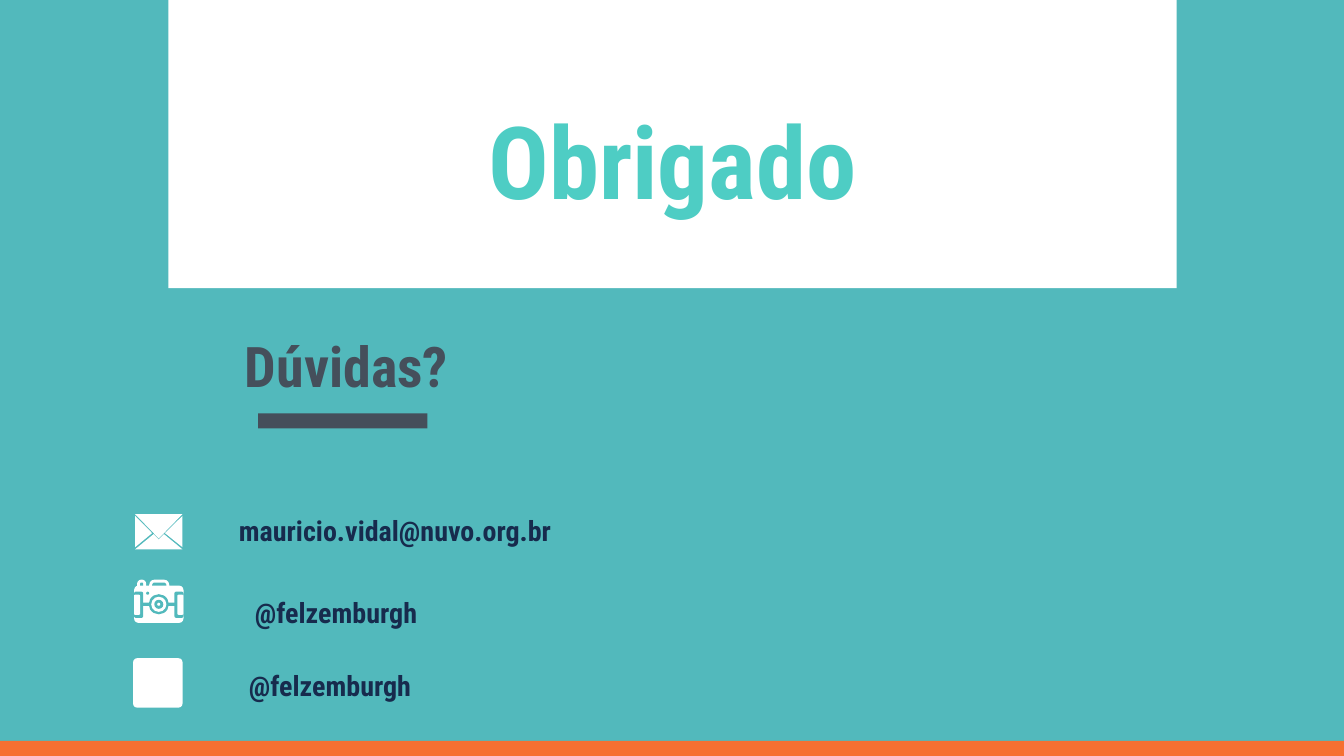
import dataclasses

import pptx
import pptx.dml.color
import pptx.enum.shapes
import pptx.enum.text
import pptx.util

Inches = pptx.util.Inches
MSO = pptx.enum.shapes.MSO_SHAPE
ANCHOR = pptx.enum.text.MSO_ANCHOR
ALIGN = pptx.enum.text.PP_ALIGN


@dataclasses.dataclass(frozen=True)
class Theme:
    """Colours, font and type sizes of the slide."""
    teal: str = "52B9BC"
    mint: str = "4ECDC4"
    white: str = "FFFFFF"
    orange: str = "F67031"
    slate: str = "454F5B"
    navy: str = "172B4D"
    font: str = "Roboto Condensed"
    title: int = 72
    subtitle: int = 40
    contact: int = 20


THEME = Theme()


def paint(sp, color):
    """Give a shape a flat fill with no line or shadow."""
    sp.shadow.inherit = False
    sp.fill.solid()
    sp.fill.fore_color.rgb = pptx.dml.color.RGBColor.from_string(color)
    sp.line.fill.background()


def add_block(s, box, color, kind=MSO.RECTANGLE, radius=None):
    """Add a flat preset shape in the given box."""
    sp = s.shapes.add_shape(kind, *map(Inches, box))
    paint(sp, color)
    if radius is not None:
        sp.adjustments[0] = radius


def add_text(s, box, text, size, color, align=ALIGN.LEFT, anchor=ANCHOR.TOP, inset=0):
    """Add one line of bold text in the given box."""
    tf = s.shapes.add_textbox(*map(Inches, box)).text_frame
    tf.word_wrap = True
    tf.vertical_anchor = anchor
    tf.margin_left = tf.margin_right = Inches(inset)
    tf.margin_top = tf.margin_bottom = Inches(0.1)
    p = tf.paragraphs[0]
    p.alignment = align
    r = p.add_run()
    r.text = text
    r.font.name = THEME.font
    r.font.size = pptx.util.Pt(size)
    r.font.bold = True
    r.font.color.rgb = pptx.dml.color.RGBColor.from_string(color)


def draw_envelope(s, x, y, w, h):
    """Draw an envelope as four facets parted by thin gaps."""
    facets = [
        [(0, 0), (1, 0), (0.5, 0.69)],
        [(0, 0.05), (0.36, 0.54), (0, 0.94)],
        [(1, 0.05), (1, 0.94), (0.63, 0.54)],
        [(0, 1), (0.39, 0.57), (0.5, 0.72), (0.61, 0.57), (1, 1)],
    ]
    points = [[(Inches(x + u * w), Inches(y + v * h)) for u, v in facet] for facet in facets]
    fb = s.shapes.build_freeform(*points[0][0])
    for i, facet in enumerate(points):
        if i:
            fb.move_to(*facet[0])
        fb.add_line_segments(facet[1:], close=True)
    paint(fb.convert_to_shape(), THEME.white)


def draw_camera(s, x, y, w, h):
    """Draw a camera with knob, viewfinder, side grips and lens."""
    def part(left, top, width, height, color, radius=0.2):
        add_block(s, (x + left, y + top, width, height), color, MSO.ROUNDED_RECTANGLE, radius)

    for left, width in ((0.03, 0.09), (0.15, 0.2)):
        part(left, 0, width, 0.12, THEME.white, 0.45)
        part(left + 0.03, 0.03, width - 0.06, 0.06, THEME.teal, 0.4)
    part(0, 0.06, w, h - 0.06, THEME.white, 0.12)
    part(0.06, 0.23, w - 0.12, 0.03, THEME.teal, 0)
    for gap, grip in ((0, 0), (w - 0.09, w - 0.06)):
        part(gap, 0.12, 0.09, 0.26, THEME.teal)
        part(grip, 0.15, 0.06, 0.2, THEME.white)
    part(0.12, 0.12, 0.03, 0.03, THEME.teal, 0.5)
    rings = ((0.2, THEME.teal), (0.15, THEME.white), (0.09, THEME.teal), (0.03, THEME.white))
    for d, color in rings:
        part((w - d) / 2, 0.245 - d / 2, d, d, color, 0.5)


def draw_badge(s, x, y, w, h):
    """Draw a plain rounded badge."""
    add_block(s, (x, y, w, h), THEME.white, MSO.ROUNDED_RECTANGLE, 0.08)


def draw_header(s, x, y, w, h):
    """Draw the white panel with the closing title."""
    add_block(s, (x, y, w, h), THEME.white)
    add_text(s, (x + 0.68, y + 0.59, w - 1.36, 1.69), "Obrigado", THEME.title, THEME.mint,
             align=ALIGN.CENTER, anchor=ANCHOR.BOTTOM)


def draw_question(s, x, y, w, h):
    """Draw the question heading and its underline bar."""
    add_text(s, (x, y, w, h), "Dúvidas?", THEME.subtitle, THEME.slate)
    add_block(s, (x + 0.13, y + h, 1.68, 0.15), THEME.slate)


def draw_contacts(s, x, y):
    """Draw the contact rows, each an icon and a line of text."""
    rows = [
        (draw_envelope, (0.02, 0.11, 0.47, 0.35), (1.05, 0), 0, "mauricio.vidal@nuvo.org.br"),
        (draw_camera, (0.01, 0.76, 0.49, 0.43), (1.11, 0.82), 0.1, "@felzemburgh"),
        (draw_badge, (0, 1.54, 0.49, 0.49), (1.05, 1.54), 0.1, "@felzemburgh"),
    ]
    for draw, (left, top, w, h), (tx, ty), inset, text in rows:
        draw(s, x + left, y + top, w, h)
        add_text(s, (x + tx, y + ty, 3.73, 0.42), text, THEME.contact, THEME.navy, inset=inset)


def main():
    """Build the closing slide and save it."""
    prs = pptx.Presentation()
    prs.slide_width, prs.slide_height = Inches(13.33), Inches(7.5)
    s = prs.slides.add_slide(prs.slide_layouts[6])
    s.background.fill.solid()
    s.background.fill.fore_color.rgb = pptx.dml.color.RGBColor.from_string(THEME.teal)
    add_block(s, (0, 7.35, 13.33, 0.15), THEME.orange)
    draw_header(s, 1.67, 0, 10, 2.86)
    draw_question(s, 2.43, 3.19, 9.23, 0.91)
    draw_contacts(s, 1.32, 4.99)
    prs.save("out.pptx")


if __name__ == "__main__":
    main()
